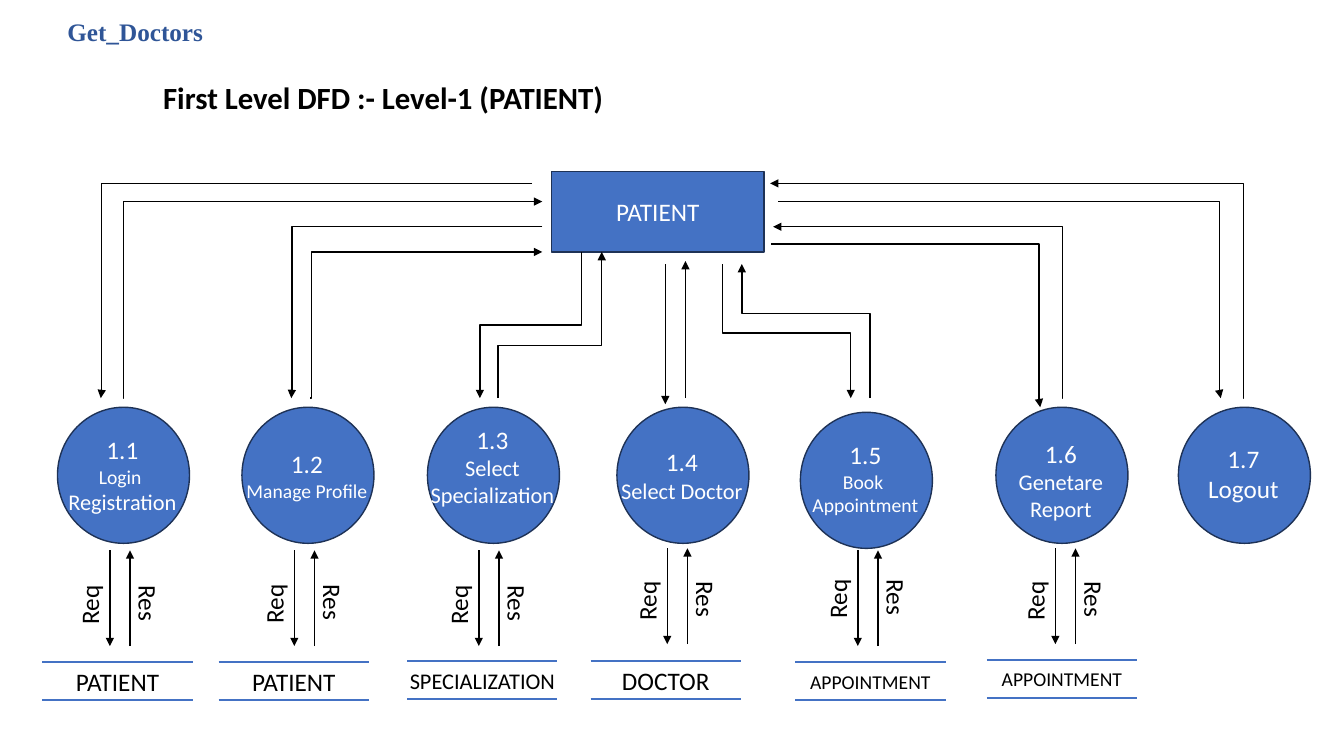
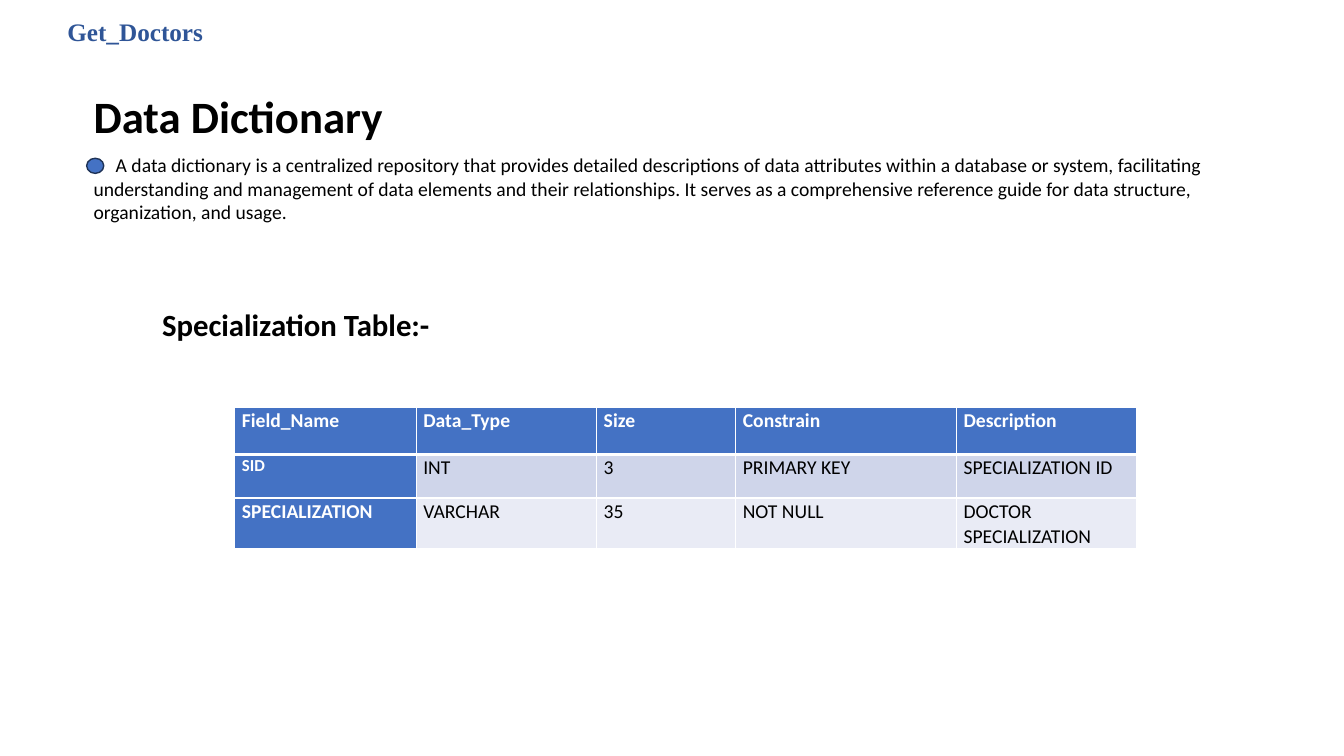
from dataclasses import dataclass
from typing import NamedTuple, Optional

import pptx
import pptx.dml.color
import pptx.enum.shapes
import pptx.enum.text
import pptx.oxml
import pptx.oxml.ns
import pptx.oxml.xmlchemy
import pptx.shapes.autoshape
import pptx.shapes.connector
import pptx.slide
import pptx.table
import pptx.text.text
import pptx.util
from lxml import etree

ALIGN = pptx.enum.text.PP_ALIGN
ANCHOR = pptx.enum.text.MSO_ANCHOR
SHAPE = pptx.enum.shapes.MSO_SHAPE
CONNECTOR = pptx.enum.shapes.MSO_CONNECTOR
qn = pptx.oxml.ns.qn

# Slide grid: square cells, ten to the inch
COLUMNS, ROWS = 133.33, 75


@dataclass(frozen=True)
class Theme:
    body_font: str = "Calibri"
    brand_font: str = "Times New Roman"
    brand: str = "2F5597"
    blue: str = "4472C4"
    outline: str = "1E3256"
    ink: str = "000000"
    white: str = "FFFFFF"
    band_dark: str = "CFD5EA"
    band_light: str = "E9EBF5"
    title: int = 32
    heading: int = 22
    label: int = 18
    medium: int = 16
    small: int = 14
    tiny: int = 12


THEME = Theme()


class Point(NamedTuple):
    col: float
    row: float


class Box(NamedTuple):
    col: float
    row: float
    cols: float
    rows: float


class Line(NamedTuple):
    text: str
    size: int = THEME.label
    color: str = THEME.ink
    bold: bool = False
    font: str = THEME.body_font


class Route(NamedTuple):
    start: Point
    end: Point
    bend: Optional[float] = None  # share of the way; None is straight
    upright: bool = False  # leaves and arrives vertically


class Store(NamedTuple):
    name: str
    size: int
    col: float
    row: float
    flow: Point
    label_row: float


class Process(NamedTuple):
    col: float
    label_row: float
    label_rows: float
    lines: tuple[tuple[str, int], ...]
    store: Optional[Store] = None
    row: float = 40.4


# Level-1 data flow content
PROCESSES = (
    Process(5.7, 42.6, 9.1, (("1.1", 18), ("Login ", 14), ("Registration", 16)),
            Store("PATIENT", 18, 4.2, 65.7, Point(10.9, 54.6), 58)),
    Process(24, 44, 6.4, (("1.2", 18), ("Manage Profile", 14)),
            Store("PATIENT", 18, 21.7, 65.7, Point(29.2, 54.6), 57.9)),
    Process(42.4, 41.6, 9.4, (("1.3", 18), ("Select Specialization", 16)),
            Store("SPECIALIZATION", 16, 40.4, 65.6, Point(47.5, 54.6), 58)),
    Process(61.2, 43.8, 6.7, (("1.4", 18), ("Select Doctor", 16)),
            Store("DOCTOR", 18, 58.6, 65.6, Point(66.2, 54.4), 57.6)),
    Process(79.4, 43.1, 8.8, (("1.5", 18), ("Book ", 14), ("Appointment", 14)),
            Store("APPOINTMENT", 14, 78.9, 65.7, Point(85.1, 54.6), 57.4), 40.9),
    Process(98.8, 43, 9.4, (("1.6", 18), ("Genetare", 16), ("Report", 16)),
            Store("APPOINTMENT", 14, 97.9, 65.5, Point(104.7, 54.4), 57.6)),
    Process(116.9, 43.5, 7.1, (("1.7", 18), ("Logout", 18))),
)

ROUTES = (
    Route(Point(52.8, 18.2), Point(10, 39.5), 0.998),
    Route(Point(12.2, 39.5), Point(53.8, 20), 0.001),
    Route(Point(53.8, 22.5), Point(28.9, 39.5), 0.998),
    Route(Point(30.8, 39.5), Point(53.8, 25), 0.004),
    Route(Point(57.7, 25), Point(47.6, 39.5), 0.5, True),
    Route(Point(49.4, 39.5), Point(59.7, 25), 0.36, True),
    Route(Point(66, 26.2), Point(66, 40.1)),
    Route(Point(68, 39.5), Point(68, 25.9)),
    Route(Point(71.7, 26.2), Point(84.4, 39.5), 0.514, True),
    Route(Point(86.3, 39.5), Point(73.6, 26.2), 0.632, True),
    Route(Point(76.5, 24.2), Point(103.2, 40.4), 0.996),
    Route(Point(105.4, 39.5), Point(76.7, 22.5), -0.001),
    Route(Point(77.2, 20), Point(121.1, 39.5), 0.997),
    Route(Point(123.3, 39.5), Point(76.4, 18.2), -0.001),
)

# Data dictionary content
DEFINITION = (
    "A data dictionary is a centralized repository that provides detailed descriptions of "
    "data attributes within a database or system, facilitating understanding and management "
    "of data elements and their relationships. It serves as a comprehensive reference guide "
    "for data structure, organization, and usage."
)
FIELD_COLS = (18, 17.9, 13.8, 21.9, 17.9)
FIELD_ROWS = (4.7, 4.3, 4.5)
FIELDS = (
    ("Field_Name", "Data_Type", "Size", "Constrain", "Description"),
    ("SID", "INT", "3", "PRIMARY KEY", "SPECIALIZATION ID"),
    ("SPECIALIZATION", "VARCHAR", "35", "NOT NULL", "DOCTOR SPECIALIZATION"),
)


def cells(count: float) -> pptx.util.Emu:
    return pptx.util.Inches(count / 10)


def rgb(value: str) -> pptx.dml.color.RGBColor:
    return pptx.dml.color.RGBColor.from_string(value)


def write(paragraph: pptx.text.text._Paragraph, line: Line) -> None:
    run = paragraph.add_run()
    run.text = line.text
    run.font.name = line.font
    run.font.size = pptx.util.Pt(line.size)
    run.font.bold = line.bold
    run.font.color.rgb = rgb(line.color)


def write_lines(frame: pptx.text.text.TextFrame, lines: list[Line], align: ALIGN) -> None:
    frame.word_wrap = True
    for index, line in enumerate(lines):
        paragraph = frame.add_paragraph() if index else frame.paragraphs[0]
        paragraph.alignment = align
        write(paragraph, line)


def add_text(slide: pptx.slide.Slide, box: Box, lines: list[Line], align: ALIGN = ALIGN.LEFT,
             anchor: ANCHOR = ANCHOR.TOP, turn: float = 0) -> pptx.text.text.TextFrame:
    holder = slide.shapes.add_textbox(*map(cells, box))
    holder.rotation = turn
    holder.text_frame.vertical_anchor = anchor
    write_lines(holder.text_frame, lines, align)
    return holder.text_frame


def add_solid(slide: pptx.slide.Slide, kind: SHAPE, box: Box) -> pptx.shapes.autoshape.Shape:
    solid = slide.shapes.add_shape(kind, *map(cells, box))
    solid.shadow.inherit = False
    solid.fill.solid()
    solid.fill.fore_color.rgb = rgb(THEME.blue)
    solid.line.color.rgb = rgb(THEME.outline)
    solid.line.width = pptx.util.Pt(1)
    return solid


def add_line(slide: pptx.slide.Slide, kind: CONNECTOR, start: Point, end: Point, color: str,
             width: float) -> pptx.shapes.connector.Connector:
    line = slide.shapes.add_connector(kind, *map(cells, (*start, *end)))
    line.line.color.rgb = rgb(color)
    line.line.width = pptx.util.Pt(width)
    etree.SubElement(line._element.spPr, qn("a:effectLst"))
    return line


def quarter_back(point: Point, center: Point) -> Point:
    """Place of a point before a quarter turn clockwise about the center."""
    return Point(center.col + point.row - center.row, center.row - point.col + center.col)


def add_arrow(slide: pptx.slide.Slide, route: Route) -> None:
    start, end = route.start, route.end
    if route.upright:
        center = Point((start.col + end.col) / 2, (start.row + end.row) / 2)
        start, end = quarter_back(start, center), quarter_back(end, center)
    kind = CONNECTOR.STRAIGHT if route.bend is None else CONNECTOR.ELBOW
    arrow = add_line(slide, kind, start, end, THEME.ink, 1)
    properties = arrow._element.spPr
    etree.SubElement(properties.find(qn("a:ln")), qn("a:tailEnd"), type="triangle")
    if route.upright:
        properties.find(qn("a:xfrm")).set("rot", "5400000")
    if route.bend is not None:
        geometry = properties.find(qn("a:prstGeom"))
        guides = geometry.find(qn("a:avLst"))
        if guides is None:
            guides = etree.SubElement(geometry, qn("a:avLst"))
        etree.SubElement(guides, qn("a:gd"), name="adj1", fmla=f"val {round(route.bend * 100000)}")


def add_store(slide: pptx.slide.Slide, store: Store) -> None:
    # Request and response arrows with turned labels
    flow, length, gap = store.flow, 9.5, 2
    foot = flow.row + length
    add_arrow(slide, Route(flow, Point(flow.col, foot)))
    add_arrow(slide, Route(Point(flow.col + gap, foot), Point(flow.col + gap, flow.row)))
    for word, offset, rise, turn in (("Req", -7.6, 0, 270), ("Res", -1.7, 0.15, 90)):
        box = Box(flow.col + offset, store.label_row - rise, 11.1, 4)
        add_text(slide, box, [Line(word)], ALIGN.CENTER, turn=turn)
    # Open-ended data store
    width, height, margin = 14.9, 3.75, 3
    for row in (store.row, store.row + height):
        add_line(slide, CONNECTOR.STRAIGHT, Point(store.col, row),
                 Point(store.col + width, row), THEME.blue, 1.5)
    box = Box(store.col - margin, store.row, width + 2 * margin, height)
    add_text(slide, box, [Line(store.name, store.size)], ALIGN.CENTER, ANCHOR.MIDDLE)


def add_process(slide: pptx.slide.Slide, process: Process) -> None:
    add_solid(slide, SHAPE.OVAL, Box(process.col, process.row, 13.1, 13.5))
    label = Box(process.col - 2.75, process.label_row, 18.4, process.label_rows)
    lines = [Line(text, size, THEME.white) for text, size in process.lines]
    add_text(slide, label, lines, ALIGN.CENTER)
    if process.store:
        add_store(slide, process.store)


def set_borders(cell: pptx.table._Cell, bottom: float) -> None:
    properties = cell._tc.get_or_add_tcPr()
    sides = (("a:lnL", 1), ("a:lnR", 1), ("a:lnT", 1), ("a:lnB", bottom))
    for index, (side, width) in enumerate(sides):
        border = etree.Element(qn(side), w=str(pptx.util.Pt(width)))
        fill = etree.SubElement(border, qn("a:solidFill"))
        etree.SubElement(fill, qn("a:srgbClr"), val=THEME.white)
        properties.insert(index, border)


def add_field_table(slide: pptx.slide.Slide, at: Point) -> None:
    box = Box(*at, sum(FIELD_COLS), sum(FIELD_ROWS))
    table = slide.shapes.add_table(len(FIELDS), len(FIELD_COLS), *map(cells, box)).table
    for column, width in zip(table.columns, FIELD_COLS):
        column.width = cells(width)
    for r, (height, fields) in enumerate(zip(FIELD_ROWS, FIELDS)):
        table.rows[r].height = cells(height)
        for c, text in enumerate(fields):
            cell = table.cell(r, c)
            strong = r == 0 or c == 0
            band = THEME.band_dark if r == 1 else THEME.band_light
            cell.fill.solid()
            cell.fill.fore_color.rgb = rgb(THEME.blue if strong else band)
            cell.margin_left = cell.margin_right = cells(0.7)
            cell.margin_top = cell.margin_bottom = 0
            set_borders(cell, 3 if r == 0 else 1)
            paragraph = cell.text_frame.paragraphs[0]
            paragraph.alignment = ALIGN.JUSTIFY
            paragraph.line_spacing = 1.07
            paragraph.space_after = pptx.util.Pt(8)
            size = THEME.tiny if text == "SID" else THEME.small
            write(paragraph, Line(text, size, THEME.white if strong else THEME.ink, strong))


def add_page(deck: pptx.presentation.Presentation) -> pptx.slide.Slide:
    slide = deck.slides.add_slide(deck.slide_layouts[6])
    brand = Line("Get_Doctors", THEME.label, THEME.brand, True, THEME.brand_font)
    add_text(slide, Box(5.7, 1.1, 23.2, 4), [brand])
    return slide


def build_data_flow(deck: pptx.presentation.Presentation) -> None:
    slide = add_page(deck)
    heading = Line("First Level DFD :- Level-1 (PATIENT)", THEME.heading, bold=True)
    add_text(slide, Box(15.2, 7.3, 48.1, 4.7), [heading])
    patient = add_solid(slide, SHAPE.RECTANGLE, Box(54.7, 17, 21.1, 8))
    write_lines(patient.text_frame, [Line("PATIENT", color=THEME.white)], ALIGN.CENTER)
    for process in PROCESSES:
        add_process(slide, process)
    for route in ROUTES:
        add_arrow(slide, route)


def build_dictionary(deck: pptx.presentation.Presentation) -> None:
    slide = add_page(deck)
    add_text(slide, Box(8.3, 8.3, 58.3, 6.4), [Line("Data Dictionary", THEME.title, bold=True)])
    definition = add_text(slide, Box(8.3, 14.7, 114.6, 8.1), [Line(DEFINITION, THEME.small)])
    # First line starts clear of the dot
    definition.paragraphs[0]._p.get_or_add_pPr().set("indent", str(cells(2.2)))
    add_solid(slide, SHAPE.OVAL, Box(8.6, 15.7, 1.7, 1.5))
    heading = Line("Specialization Table:-", THEME.heading, bold=True)
    add_text(slide, Box(15.1, 29.8, 38.7, 4.7), [heading])
    add_field_table(slide, Point(23.3, 40.4))


def main() -> None:
    deck = pptx.Presentation()
    deck.slide_width, deck.slide_height = cells(COLUMNS), cells(ROWS)
    build_data_flow(deck)
    build_dictionary(deck)
    deck.save("out.pptx")


if __name__ == "__main__":
    main()
